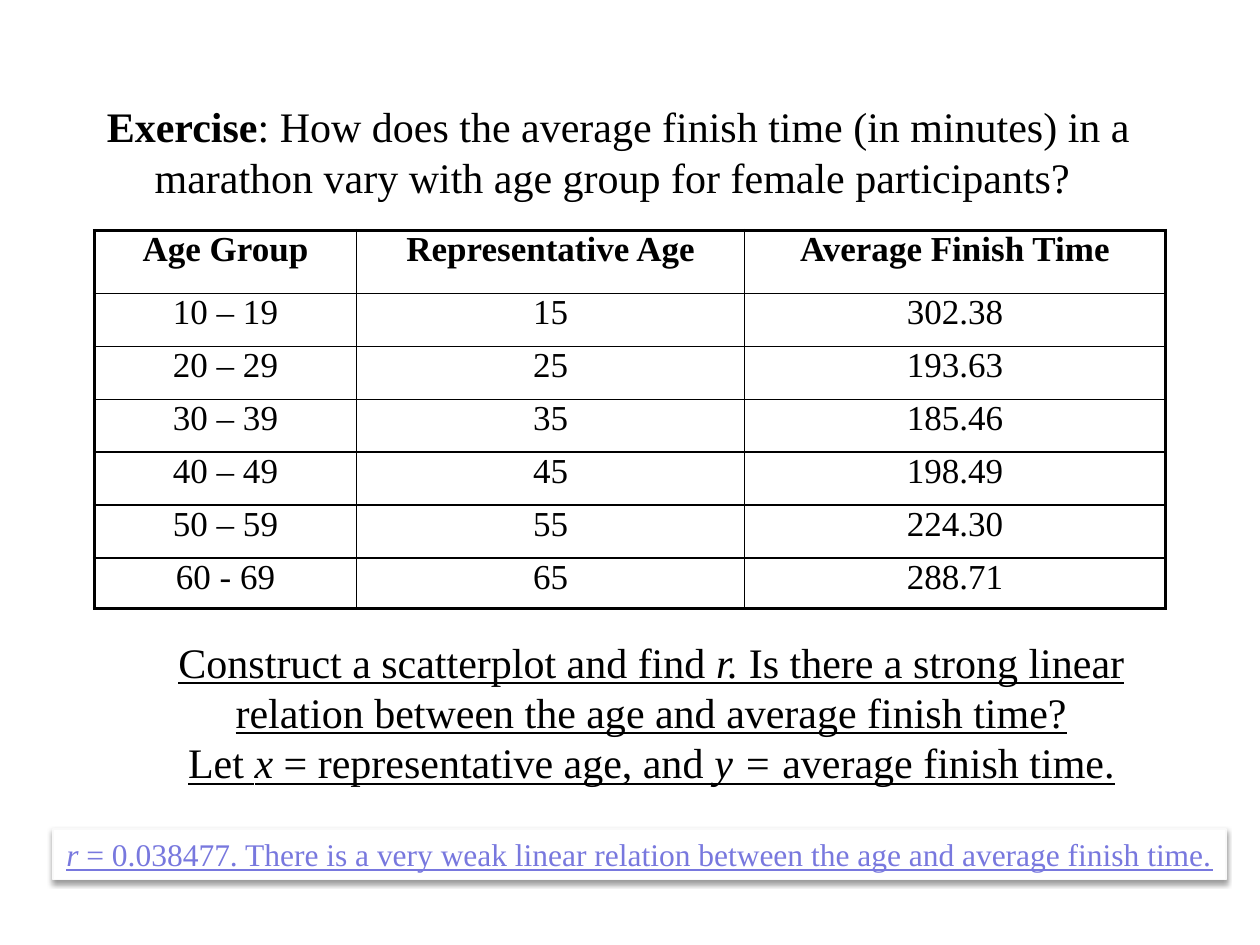
import pptx
import pptx.util
import pptx.oxml
import pptx.dml.color
import pptx.enum.shapes
import pptx.enum.text
import pptx.oxml.ns

Inches = pptx.util.Inches
Pt = pptx.util.Pt
ALIGN = pptx.enum.text.PP_ALIGN
AUTO = pptx.enum.text.MSO_AUTO_SIZE

HUES = {"ink": "000000", "paper": "FFFFFF", "edge": "F9F9F9", "answer": "7878DE"}
FONT = "Times New Roman"
THICK, THIN = 2.25, 1
ROWS = [
    ("Age Group", "Representative Age", "Average Finish Time"),
    ("10 – 19", "15", "302.38"),
    ("20 – 29", "25", "193.63"),
    ("30 – 39", "35", "185.46"),
    ("40 – 49", "45", "198.49"),
    ("50 – 59", "55", "224.30"),
    ("60 - 69", "65", "288.71"),
]
WIDTHS = [2.08, 3.08, 3.34]
HEIGHTS = [0.5] + [0.42] * 5 + [0.4]


def rgb(hue):
    return pptx.dml.color.RGBColor.from_string(HUES[hue])


def node(text):
    """Parse an XML snippet whose root tag carries the {ns} mark."""
    return pptx.oxml.parse_xml(text.replace("{ns}", pptx.oxml.ns.nsdecls("a")))


class Page:
    def __init__(self, deck):
        self.shapes = deck.slides.add_slide(deck.slide_layouts[6]).shapes

    def fill(self, para, runs, size, hue="ink", line=False, align=ALIGN.CENTER):
        """Add (text, style) runs; style may hold b for bold and i for italic."""
        para.alignment = align
        for text, style in runs:
            run = para.add_run()
            run.text = text
            font = run.font
            font.name, font.size = FONT, Pt(size)
            font.bold, font.italic = "b" in style, "i" in style
            font.underline = line
            font.color.rgb = rgb(hue)

    def text(self, box, paras, hang=0, grow=False, **style):
        frame = self.shapes.add_textbox(*map(Inches, box)).text_frame
        frame.word_wrap = True
        frame.auto_size = AUTO.SHAPE_TO_FIT_TEXT if grow else AUTO.NONE
        for i, runs in enumerate(paras):
            para = frame.add_paragraph() if i else frame.paragraphs[0]
            if hang:
                props = para._p.get_or_add_pPr()
                props.set("marL", str(Inches(hang)))
                props.set("indent", str(-Inches(hang)))
            self.fill(para, runs, 24, **style)

    def border(self, cell, sides):
        props = cell._tc.get_or_add_tcPr()
        for i, (side, width) in enumerate(sides.items()):
            props.insert(i, node(
                f'<a:ln{side} {{ns}} w="{Pt(width)}"><a:solidFill>'
                f'<a:srgbClr val="{HUES["ink"]}"/></a:solidFill></a:ln{side}>'))

    def table(self, left, top):
        size = Inches(sum(WIDTHS)), Inches(sum(HEIGHTS))
        grid = self.shapes.add_table(
            len(ROWS), len(WIDTHS), Inches(left), Inches(top), *size).table
        grid.first_row = grid.horz_banding = False
        for col, width in zip(grid.columns, WIDTHS):
            col.width = Inches(width)
        for row, height in zip(grid.rows, HEIGHTS):
            row.height = Inches(height)
        for r, row in enumerate(ROWS):
            for c, text in enumerate(row):
                cell = grid.cell(r, c)
                cell.fill.background()
                cell.margin_top = cell.margin_bottom = 0
                self.fill(cell.text_frame.paragraphs[0],
                          [(text, "" if r else "b")], 20)
                outer = {"L": c == 0, "R": c == len(row) - 1,
                         "T": r == 0, "B": r == len(ROWS) - 1}
                self.border(cell, {side: THICK if out else THIN
                                   for side, out in outer.items()})

    def card(self, box, runs):
        """Add a white strip with a soft shadow below it."""
        kind = pptx.enum.shapes.MSO_SHAPE.RECTANGLE
        shape = self.shapes.add_shape(kind, *map(Inches, box))
        shape.fill.solid()
        shape.fill.fore_color.rgb = rgb("paper")
        shape.line.color.rgb = rgb("edge")
        shape.line.width = Pt(0.75)
        shape.shadow.inherit = False
        shape._element.spPr.find(pptx.oxml.ns.qn("a:effectLst")).append(node(
            f'<a:outerShdw {{ns}} blurRad="{Pt(3.1)}" dist="{Pt(1.6)}" '
            f'dir="5400000" rotWithShape="0"><a:srgbClr val="{HUES["ink"]}">'
            '<a:alpha val="38000"/></a:srgbClr></a:outerShdw>'))
        frame = shape.text_frame
        frame.word_wrap = False
        frame.auto_size = AUTO.SHAPE_TO_FIT_TEXT
        self.fill(frame.paragraphs[0], runs, 18, "answer", line=True)


def main():
    deck = pptx.Presentation()
    deck.slide_width, deck.slide_height = Inches(10), Inches(7.5)
    page = Page(deck)
    page.text((0.75, 0.75, 8.5, 0.92), [[
        ("Exercise", "b"),
        (": How does the average finish time (in minutes) in a marathon "
         "vary with age group for female participants?", ""),
    ]], hang=0.38, align=ALIGN.LEFT)
    page.table(0.75, 1.83)
    page.text((0.92, 5, 8.5, 1.3), [
        [("Construct a scatterplot and find ", ""), ("r. ", "i"),
         ("Is there a strong linear relation between the age and "
          "average finish time?", "")],
        [("Let ", ""), ("x", "i"), (" = representative age, and ", ""),
         ("y = ", "i"), ("average finish time.", "")],
    ], grow=True, line=True)
    page.card((0.42, 6.58, 9.31, 0.4), [
        ("r", "i"),
        (" = 0.038477. There is a very weak linear relation between "
         "the age and average finish time.", ""),
    ])
    deck.save("out.pptx")


if __name__ == "__main__":
    main()
